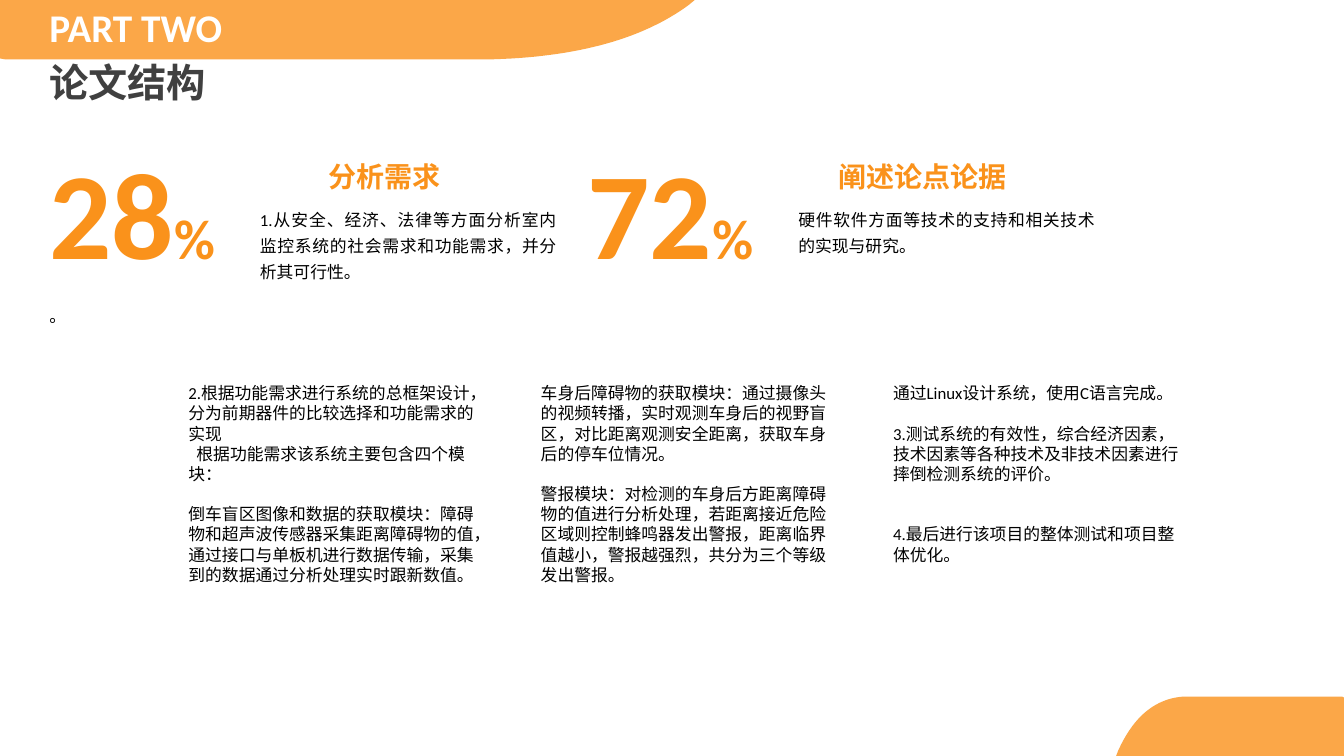
import pptx
import pptx.dml.color
import pptx.enum.shapes
import pptx.enum.text
import pptx.oxml
import pptx.oxml.ns
import pptx.util
from pptx.util import Inches

COLORS = {"orange": "FA921B", "white": "FFFFFF", "dark": "404040", "black": "000000"}
ALIGN = pptx.enum.text.PP_ALIGN
ANCHOR = pptx.enum.text.MSO_ANCHOR
AUTO_SIZE = pptx.enum.text.MSO_AUTO_SIZE


def style_font(font, size, color, bold=False):
    font.name = "Calibri"
    font.size = pptx.util.Pt(size)
    font.bold = bold
    font.color.rgb = pptx.dml.color.RGBColor.from_string(COLORS[color])


def add_text(shapes, text, box, size=12, color="black", bold=False, wrap=True):
    shape = shapes.add_textbox(*[Inches(value) for value in box])
    frame = shape.text_frame
    frame.word_wrap = wrap
    frame.auto_size = AUTO_SIZE.SHAPE_TO_FIT_TEXT
    frame.text = text
    for paragraph in frame.paragraphs:
        style_font(paragraph.font, size, color, bold)
    return shape


presentation = pptx.Presentation()
presentation.slide_width = Inches(13.33)
presentation.slide_height = Inches(7.5)
slide = presentation.slides.add_slide(presentation.slide_layouts[1])

# Corner bands: one outline, the lower one smaller and turned by 180 degrees
BAND_WIDTH, BAND_HEIGHT = 6.89, 0.59
curves = [
    [(6.83, 0.05), (6.6, 0.22), (6.3, 0.36), (5.95, 0.45)],
    [(5.95, 0.45), (5.6, 0.54), (5.19, 0.59), (4.73, 0.59)],
]
outline = [(0, 0), (BAND_WIDTH, 0)]
for curve in curves:
    for step in range(17):
        t = step / 16
        weights = [(1 - t) ** 3, 3 * t * (1 - t) ** 2, 3 * t * t * (1 - t), t ** 3]
        outline.append(tuple(sum(w * point[axis] for w, point in zip(weights, curve))
                             for axis in (0, 1)))
outline += [(0.06, BAND_HEIGHT), (0, 0.58)]

for index, (origin_x, origin_y, scale_x, scale_y) in enumerate(
        [(0, 0, 1, 1), (13.33, 7.5, -2.26 / BAND_WIDTH, -1)]):
    points = [(Inches(origin_x + x * scale_x), Inches(origin_y + y * scale_y))
              for x, y in outline]
    builder = slide.shapes.build_freeform(*points[0])
    builder.add_line_segments(points[1:], close=True)
    band = builder.convert_to_shape()
    band.shadow.inherit = False
    band.line.fill.background()
    band.fill.solid()
    band.fill.fore_color.rgb = pptx.dml.color.RGBColor.from_string(COLORS["orange"])
    color_element = band._element.spPr.find(".//" + pptx.oxml.ns.qn("a:srgbClr"))
    color_element.append(pptx.oxml.parse_xml(
        '<a:alpha xmlns:a="http://schemas.openxmlformats.org/drawingml/2006/main" val="80000"/>'))
    slide.shapes._spTree.insert(2 + index, band._element)

# Part label and title
headings = [
    (slide.placeholders[1], "PART TWO", 0.04, 2.35, "white"),
    (slide.shapes.title, "论文结构", 0.59, 3.74, "dark"),
]
for placeholder, text, top, width, color in headings:
    placeholder.left, placeholder.top = Inches(0.39), Inches(top)
    placeholder.width, placeholder.height = Inches(width), Inches(0.51)
    frame = placeholder.text_frame
    frame.text = text
    frame.word_wrap = True
    frame.auto_size = AUTO_SIZE.NONE
    frame.vertical_anchor = ANCHOR.MIDDLE
    paragraph = frame.paragraphs[0]
    properties = paragraph._p.get_or_add_pPr()
    properties.set("marL", "0")
    properties.set("indent", "0")
    properties.append(pptx.oxml.parse_xml(
        '<a:buNone xmlns:a="http://schemas.openxmlformats.org/drawingml/2006/main"/>'))
    paragraph.alignment = ALIGN.LEFT
    paragraph.line_spacing = 0.9
    paragraph.space_before = pptx.util.Pt(0)
    style_font(paragraph.font, 28, color, True)

add_text(slide.shapes, "。", (0.39, 2.98, 12.52, 0.3))

# Thesis modules in three columns: text and number of empty lines after it
modules = [
    ("2.根据功能需求进行系统的总框架设计，分为前期器件的比较选择和功能需求的实现", 0),
    ("根据功能需求该系统主要包含四个模块：", 1),
    ("倒车盲区图像和数据的获取模块：障碍物和超声波传感器采集距离障碍物的值，"
     "通过接口与单板机进行数据传输，采集到的数据通过分析处理实时跟新数值。", 1),
    ("车身后障碍物的获取模块：通过摄像头的视频转播，实时观测车身后的视野盲区，"
     "对比距离观测安全距离，获取车身后的停车位情况。", 1),
    ("警报模块：对检测的车身后方距离障碍物的值进行分析处理，若距离接近危险区域则控制蜂鸣器发出警报，"
     "距离临界值越小，警报越强烈，共分为三个等级发出警报。", 1),
    ("通过Linux设计系统，使用C语言完成。", 1),
    ("3.测试系统的有效性，综合经济因素，技术因素等各种技术及非技术因素进行摔倒检测系统的评价。", 2),
    ("4.最后进行该项目的整体测试和项目整体优化。", 0),
]
module_box = add_text(slide.shapes, "\n".join(text for text, gap in modules),
                      (1.77, 3.75, 10.09, 2.32))
body_properties = module_box.text_frame._txBody.bodyPr
body_properties.set("numCol", "3")
body_properties.set("spcCol", str(Inches(0.59)))
for paragraph, (text, gap) in zip(module_box.text_frame.paragraphs, modules):
    paragraph.space_after = pptx.util.Pt(14.4 * gap)
module_box.text_frame.paragraphs[1]._p.get_or_add_pPr().set("indent", str(Inches(0.08)))

# Percentages with heading and description
statistics = [
    (0.39, "28", "分析需求", 1.32, 1.13,
     "1.从安全、经济、法律等方面分析室内监控系统的社会需求和功能需求，并分析其可行性。"),
    (5.73, "72", "阐述论点论据", 1.88, 0.63,
     "硬件软件方面等技术的支持和相关技术的实现与研究。"),
]
for left, number, heading, heading_width, text_height, description in statistics:
    group = slide.shapes.add_group_shape()
    heading_box = add_text(group.shapes, heading,
                           (left + 3.42 - heading_width / 2, 1.53, heading_width, 0.44),
                           20, "orange", True, wrap=False)
    heading_box.fill.solid()
    heading_box.fill.fore_color.rgb = pptx.dml.color.RGBColor.from_string(COLORS["white"])
    heading_box.text_frame.paragraphs[0].alignment = ALIGN.CENTER

    description_box = add_text(group.shapes, description, (left + 2.09, 1.97, 3.14, text_height))
    paragraph = description_box.text_frame.paragraphs[0]
    paragraph.alignment = ALIGN.JUSTIFY
    paragraph.line_spacing = 1.3

    number_box = add_text(group.shapes, number, (left, 1.3, 1.86, 1.58),
                          88, "orange", True, wrap=False)
    percent = number_box.text_frame.paragraphs[0].add_run()
    percent.text = "%"
    percent.font.size = pptx.util.Pt(40)

presentation.save("out.pptx")
